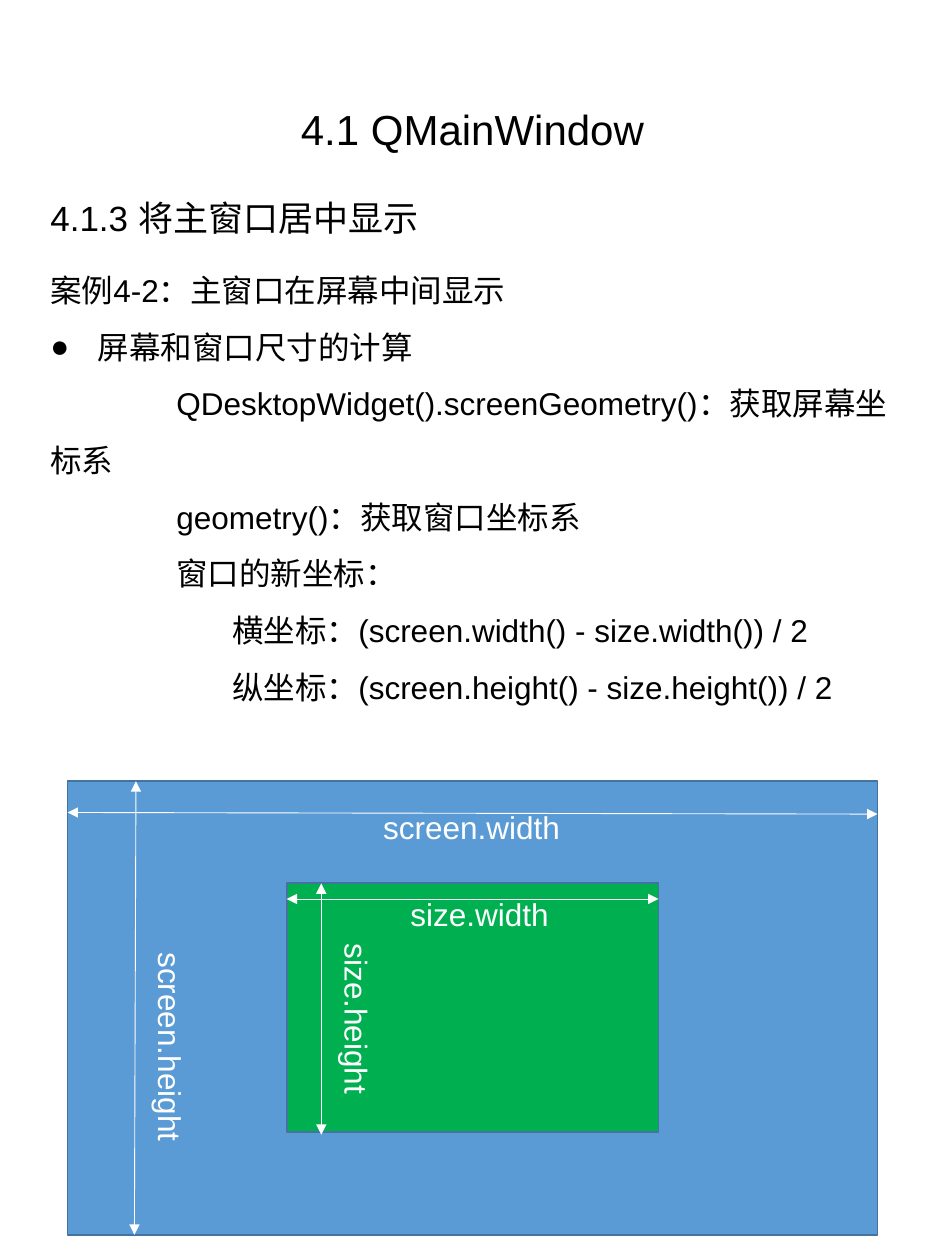
from lxml.etree import SubElement
from pptx import Presentation
from pptx.dml.color import RGBColor
from pptx.enum.lang import MSO_LANGUAGE_ID
from pptx.enum.shapes import MSO_CONNECTOR, MSO_SHAPE
from pptx.enum.text import MSO_ANCHOR, PP_ALIGN
from pptx.oxml.ns import qn
from pptx.util import Pt

COLORS = {"text": "000000", "label": "FFFFFF", "screen": "5B9BD5",
          "window": "00B050", "border": "43739E"}
FONT = "Arial"

# Content: body lines are (text, left margin, first-line indent, bullet)
TITLE = "4.1 QMainWindow"
SECTION = "4.1.3 将主窗口居中显示"
TAB, SUB, HANG = 72, 104, 27
BODY = [
    ("案例4-2：主窗口在屏幕中间显示", 0, 0, None),
    ("屏幕和窗口尺寸的计算", HANG, -HANG, "●"),
    ("QDesktopWidget().screenGeometry()：获取屏幕坐标系", 0, TAB, None),
    ("geometry()：获取窗口坐标系", 0, TAB, None),
    ("窗口的新坐标：", 0, TAB, None),
    ("横坐标：(screen.width() - size.width()) / 2", 0, SUB, None),
    ("纵坐标：(screen.height() - size.height()) / 2", 0, SUB, None),
]

# Diagram, in points: left, top, width, height
RECTANGLES = [
    (MSO_SHAPE.RECTANGLE, "screen", (38.6, 446.3, 462.8, 259.5)),
    (MSO_SHAPE.FLOWCHART_PROCESS, "window", (163.8, 504.8, 212.4, 142.3)),
]
ARROWS = [  # from x, from y, to x, to y
    (38.6, 464.3, 501.4, 465.2),
    (163.8, 513.7, 376.3, 513.7),
    (77.7, 446.4, 76.8, 705.6),
    (183.6, 504.8, 183.6, 648.4),
]
LABELS = [  # text, vertical, place
    ("screen.width", False, (211.9, 458.4, 175.7, 29)),
    ("size.width", False, (227.5, 508.1, 175.7, 29)),
    ("screen.height", True, (76, 537.1, 36, 145.4)),
    ("size.height", True, (182.5, 532.1, 36, 144)),
]


def color(name):
    return RGBColor.from_string(COLORS[name])


def add_text(place, lines, size, tint="text", flush=True):
    box = page.shapes.add_textbox(*map(Pt, place))
    frame = box.text_frame
    frame.word_wrap = True
    if flush:
        frame.margin_left = frame.margin_right = 0
    frame.text = "\n".join(lines)
    for para in frame.paragraphs:
        for span in para.runs:
            span.font.size = Pt(size)
            span.font.name = FONT
            span.font.color.rgb = color(tint)
            span.font.language_id = MSO_LANGUAGE_ID.SIMPLIFIED_CHINESE
    return frame


deck = Presentation()
deck.slide_width, deck.slide_height = Pt(540), Pt(720)
page = deck.slides.add_slide(deck.slide_layouts[6])

# Headings
section = add_text((28.8, 100.8, 482.4, 46.8), [SECTION], 20)
title = add_text((28.8, 50.4, 482.4, 46.8), [TITLE], 24)
title.paragraphs[0].alignment = PP_ALIGN.CENTER
for heading in (section, title):
    heading.vertical_anchor = MSO_ANCHOR.MIDDLE

# Body with indents and bullet; the first line sits at the top of its box
body = add_text((28.8, 151.2, 482.4, 267.1), [line[0] for line in BODY], 18)
for para, (_, margin, indent, bullet) in zip(body.paragraphs, BODY):
    para.line_spacing = 1.5
    settings = para._p.get_or_add_pPr()
    settings.set("marL", str(Pt(margin)))
    settings.set("indent", str(Pt(indent)))
    if bullet:
        SubElement(settings, qn("a:buFont"), typeface=FONT)
        SubElement(settings, qn("a:buChar"), char=bullet)
body.paragraphs[0].line_spacing = 1.0

# Screen and window
for kind, name, place in RECTANGLES:
    rectangle = page.shapes.add_shape(kind, *map(Pt, place))
    rectangle.shadow.inherit = False
    rectangle.fill.solid()
    rectangle.fill.fore_color.rgb = color(name)
    rectangle.line.color.rgb = color("border")
    rectangle.line.width = Pt(1)

# Dimension arrows
for ends in ARROWS:
    arrow = page.shapes.add_connector(MSO_CONNECTOR.STRAIGHT, *map(Pt, ends))
    arrow.line.color.rgb = color("label")
    arrow.line.width = Pt(0.5)
    outline = arrow.line._get_or_add_ln()
    for tip in ("a:headEnd", "a:tailEnd"):
        SubElement(outline, qn(tip), type="triangle")
    SubElement(arrow._element.spPr, qn("a:effectLst"))

# Dimension labels
for text, vertical, place in LABELS:
    label = add_text(place, [text], 18, "label", flush=False)
    if vertical:
        label._txBody.bodyPr.set("vert", "eaVert")

deck.save("out.pptx")
